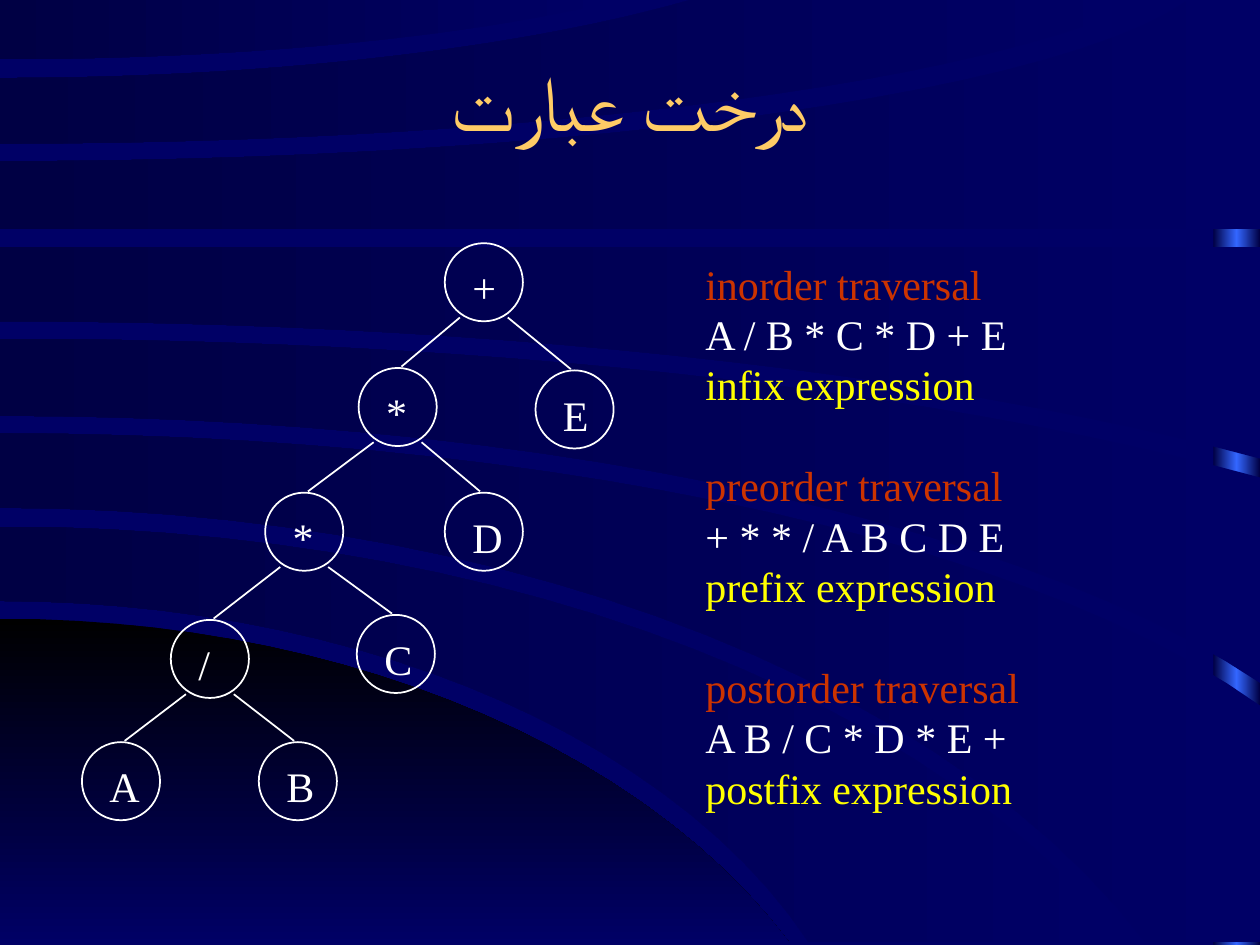
from copy import deepcopy
from dataclasses import dataclass
from math import sqrt

from lxml import etree
from pptx import Presentation
from pptx.dml.color import RGBColor
from pptx.enum.shapes import MSO_CONNECTOR, MSO_SHAPE
from pptx.enum.text import MSO_ANCHOR, PP_ALIGN
from pptx.oxml.ns import qn
from pptx.util import Inches, Pt

RECT, OVAL = MSO_SHAPE.RECTANGLE, MSO_SHAPE.OVAL
STRAIGHT = MSO_CONNECTOR.STRAIGHT
MIDDLE, TOP = MSO_ANCHOR.MIDDLE, MSO_ANCHOR.TOP
CENTER, LEFT = PP_ALIGN.CENTER, PP_ALIGN.LEFT

W, H = 10, 7.5
FONT = "Times New Roman"
NAVY, DEEP, BLUE, BLACK = "000066", "000044", "3366FF", "000000"
WHITE, GOLD, RED, YELLOW = "FFFFFF", "FFCC66", "CC3300", "FFFF00"

# Tree grid: centre of column 0 / row 0 and the steps between centres
COL0, COL_STEP = 0.96, 0.72
ROW0, ROW_STEP = 2.24, 0.99
NODE = 0.62
LINE_PITCH = 28.8
ARC_STEPS = 24

Point = tuple[float, float]


@dataclass
class Arc:
    """Conic that leaves the left edge level and passes two points."""
    start: float
    mid: Point
    end: Point

    def points(self) -> list[Point]:
        # x² = d (p - q d), where d is the vertical distance from the start
        d1, d2 = self.mid[1] - self.start, self.end[1] - self.start
        r1, r2 = self.mid[0] ** 2 / d1, self.end[0] ** 2 / d2
        q = (r1 - r2) / (d2 - d1)
        p = r1 + q * d1
        drops = [d2 * (i / ARC_STEPS) ** 2 for i in range(ARC_STEPS + 1)]
        return [(sqrt(d * (p - q * d)), self.start + d) for d in drops]


@dataclass
class Band:
    """Area from an upper arc, round any corners, back along a lower arc."""
    upper: Arc | None
    corners: list[Point]
    lower: Arc | None
    stops: tuple[str, str] = (NAVY, DEEP)
    angle: int = 180

    def outline(self) -> list[Point]:
        there = self.upper.points() if self.upper else []
        back = self.lower.points()[::-1] if self.lower else []
        return there + self.corners + back


@dataclass
class Node:
    label: str
    col: float
    row: float
    parent: int | None = None

    @property
    def x(self) -> float:
        return COL0 + self.col * COL_STEP

    @property
    def y(self) -> float:
        return ROW0 + self.row * ROW_STEP


BANDS = [
    # Dark hill at the bottom left
    Band(Arc(4.91, (3.86, 5.68), (6.28, H)), [(0, H)], None, (BLACK, NAVY), 270),
    # Curved bands, from the bottom up
    Band(Arc(4.18, (5.15, 5.02), (8.93, 7.48)), [], Arc(4.77, (3.76, 5.47), (6.42, 7.48))),
    Band(Arc(3.44, (5.7, 3.98), (W, 5.6)), [(W, 7.48)], Arc(4.03, (5.21, 4.89), (9.09, 7.48))),
    Band(Arc(2.69, (6.16, 3.06), (W, 3.79)), [], Arc(3.3, (5.6, 3.82), (W, 5.42))),
    Band(None, [(0, 1.96), (W, 1.96)], Arc(2.55, (5.52, 2.84), (W, 3.64))),
    Band(Arc(1.28, (5.54, 0.98), (9.43, 0)), [(W, 0), (W, 1.82), (0, 1.82)], None),
    Band(Arc(0.62, (3.08, 0.45), (5.48, 0)), [], Arc(1.14, (5.45, 0.84), (9.13, 0))),
    Band(None, [(0, 0)], Arc(0.47, (2.89, 0.33), (4.92, 0))),
]

# Each node names its parent by position in this list
NODES = [
    Node("+", 4, 0),
    Node("*", 3.05, 1, 0), Node("E", 5, 1.02, 0),
    Node("*", 2.02, 2, 1), Node("D", 4, 2, 1),
    Node("/", 0.98, 3.02, 3), Node("C", 3.03, 2.98, 3),
    Node("A", 0, 4, 5), Node("B", 1.95, 4, 5),
]

TRAVERSALS = [
    ("inorder traversal", "A / B * C * D + E", "infix expression"),
    ("preorder traversal", "+ * * / A B C D E", "prefix expression"),
    ("postorder traversal", "A B / C * D * E +", "postfix expression"),
]


def rgb(value: str) -> RGBColor:
    return RGBColor.from_string(value)


def paint_gradient(s, colors: tuple[str, ...], angle: int) -> None:
    """Fill a shape with evenly spaced colours, without outline or shadow."""
    s.shadow.inherit = False
    s.line.fill.background()
    s.fill.gradient()
    s.fill.gradient_angle = angle
    stop_list = s._element.spPr.find(qn("a:gradFill")).find(qn("a:gsLst"))
    while len(stop_list) < len(colors):
        stop_list.append(deepcopy(stop_list[-1]))
    for i, (stop, color) in enumerate(zip(s.fill.gradient_stops, colors)):
        stop.position = i / (len(colors) - 1)
        stop.color.rgb = rgb(color)


def add_band(shapes, band: Band) -> None:
    pts = [(Inches(x), Inches(y)) for x, y in band.outline()]
    builder = shapes.build_freeform(*pts[0])
    builder.add_line_segments(pts[1:], close=True)
    paint_gradient(builder.convert_to_shape(), band.stops, band.angle)


def add_text_frame(shapes, x: float, y: float, w: float, h: float, anchor=TOP):
    tf = shapes.add_textbox(Inches(x), Inches(y), Inches(w), Inches(h)).text_frame
    tf.word_wrap = True
    tf.vertical_anchor = anchor
    return tf


def add_run(p, text: str, color: str, size: int = 24, align=LEFT) -> None:
    p.alignment = align
    r = p.add_run()
    r.text = text
    r.font.name, r.font.size = FONT, Pt(size)
    r.font.color.rgb = rgb(color)
    etree.SubElement(r.font._element, qn("a:cs")).set("typeface", FONT)


def add_node(shapes, node: Node) -> None:
    group = shapes.add_group_shape().shapes
    left, top = node.x - NODE / 2, node.y - NODE / 2
    s = group.add_shape(OVAL, Inches(left), Inches(top), Inches(NODE), Inches(NODE))
    s.shadow.inherit = False
    s.fill.background()
    s.line.color.rgb, s.line.width = rgb(WHITE), Pt(1)
    p = add_text_frame(group, left + 0.12, top + 0.1, 0.5, 0.5).paragraphs[0]
    p.line_spacing = Pt(LINE_PITCH)
    add_run(p, node.label, WHITE)


def add_link(shapes, parent: Node, child: Node) -> None:
    """Line from the lower flank of the parent to the top of the child."""
    side = 1 if child.x > parent.x else -1
    c = shapes.add_connector(
        STRAIGHT, Inches(parent.x + side * 0.19), Inches(parent.y + 0.28),
        Inches(child.x - side * 0.03), Inches(child.y - 0.32))
    c.line.color.rgb, c.line.width = rgb(WHITE), Pt(1)
    etree.SubElement(c._element.spPr, qn("a:effectLst"))


def main() -> None:
    prs = Presentation()
    prs.slide_width, prs.slide_height = Inches(W), Inches(H)
    slide = prs.slides.add_slide(prs.slide_layouts[6])
    shapes = slide.shapes

    # Background: glowing strip at the right, mostly covered by the bands
    slide.background.fill.solid()
    slide.background.fill.fore_color.rgb = rgb(NAVY)
    strip = shapes.add_shape(RECT, Inches(W - 0.37), 0, Inches(0.37), Inches(H))
    paint_gradient(strip, (DEEP, BLUE, DEEP), 180)
    for band in BANDS:
        add_band(shapes, band)

    # Title
    tf = add_text_frame(shapes, 0.75, 0.42, 8.5, 0.75, MIDDLE)
    add_run(tf.paragraphs[0], "درخت عبارت", GOLD, 44, CENTER)

    # Expression tree
    for node in NODES:
        add_node(shapes, node)
        if node.parent is not None:
            add_link(shapes, NODES[node.parent], node)

    # Traversals, one line's height apart
    tf = add_text_frame(shapes, 5.5, 2, 4, 4.5)
    for i, lines in enumerate(TRAVERSALS):
        for j, (text, color) in enumerate(zip(lines, (RED, WHITE, YELLOW))):
            p = tf.add_paragraph() if i or j else tf.paragraphs[0]
            p.line_spacing = Pt(LINE_PITCH)
            if i and not j:
                p.space_before = Pt(LINE_PITCH)
            add_run(p, text, color)

    prs.save("out.pptx")


if __name__ == "__main__":
    main()
